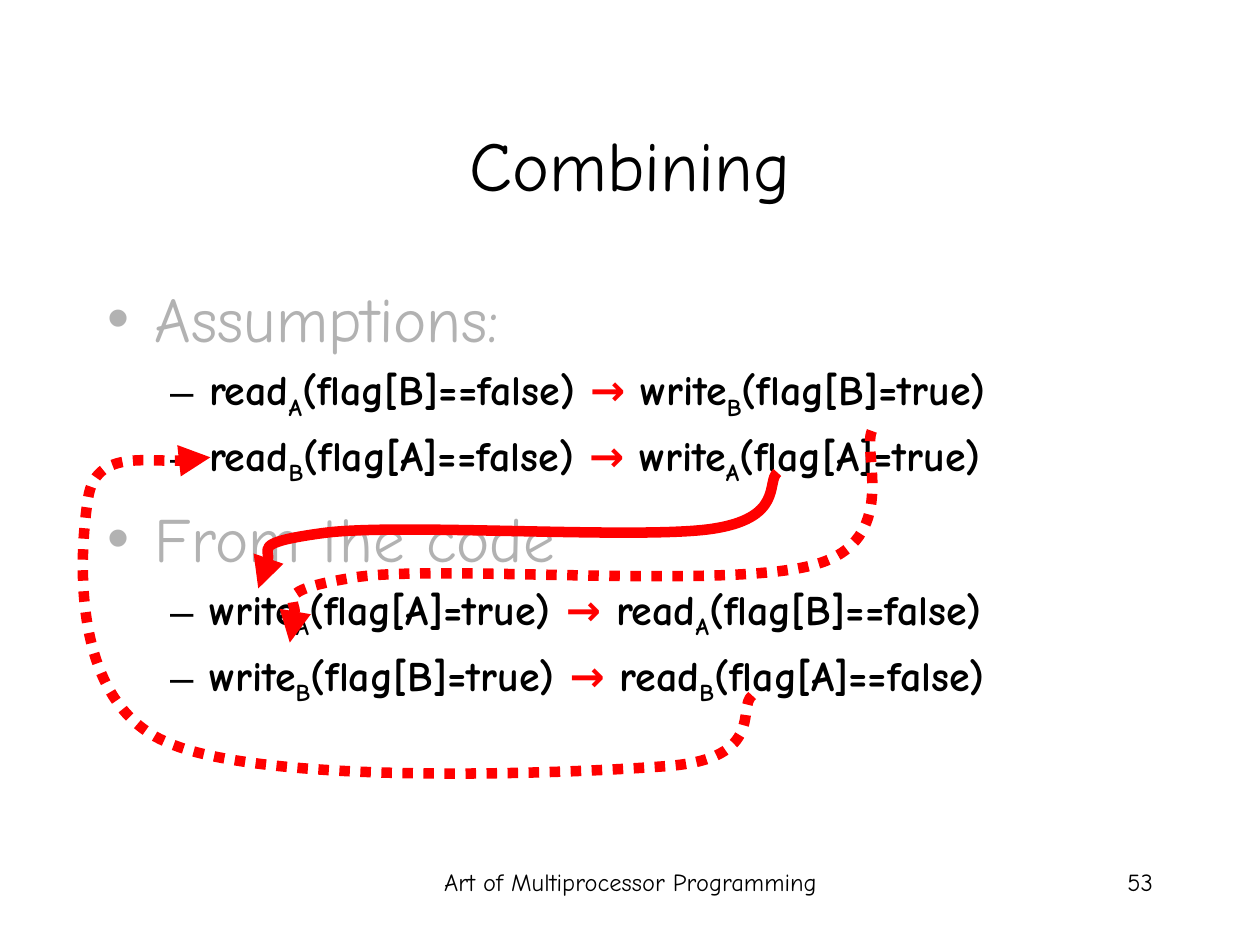
from lxml import etree
from pptx import Presentation
from pptx.dml.color import RGBColor
from pptx.enum import dml, text
from pptx.oxml import ns
from pptx.util import Inches, Pt

FONT = "Comic Neue"
BLACK, GRAY, RED = "000000", "B2B2B2", "FF0000"
HEADING = {"size": Pt(36), "bold": False}
CODE = {"size": Pt(24), "bold": True}

# Each event is (operation, thread, argument); each line orders two events
SECTIONS = [
    ("Assumptions:", [
        (("read", "A", "(flag[B]==false)"), ("write", "B", "(flag[B]=true)")),
        (("read", "B", "(flag[A]==false)"), ("write", "A", "(flag[A]=true)")),
    ]),
    ("From the code", [
        (("write", "A", "(flag[A]=true)"), ("read", "A", "(flag[B]==false)")),
        (("write", "B", "(flag[B]=true)"), ("read", "B", "(flag[A]==false)")),
    ]),
]

# Start point, then two control points and an end point for every curve
DOTTED_LOOP = [(5.97, 5.52),
               (5.85, 5.61), (6.08, 6.02), (5.3, 6.08),
               (4.52, 6.14), (2.06, 6.24), (1.3, 5.88),
               (0.53, 5.53), (0.64, 4.32), (0.7, 3.95),
               (0.76, 3.57), (1.47, 3.7), (1.67, 3.63)]
DOTTED_LINK = [(6.92, 3.42),
               (6.84, 3.59), (7.15, 4.29), (6.47, 4.48),
               (5.79, 4.68), (3.53, 4.48), (2.83, 4.58),
               (2.14, 4.69), (2.41, 4.99), (2.3, 5.1)]
SOLID_LINK = [(6.17, 3.75),
              (6.08, 3.82), (6.23, 4.12), (5.63, 4.2),
              (5.03, 4.28), (3.16, 4.15), (2.57, 4.23),
              (1.97, 4.31), (2.16, 4.58), (2.05, 4.67)]


def color(hex_string):
    return RGBColor.from_string(hex_string)


def add_child(parent, tag, **attributes):
    return etree.SubElement(parent, ns.qn(tag), attributes)


def place(shape, box):
    for name, value in zip(("left", "top", "width", "height"), box):
        setattr(shape, name, Inches(value))


def add_run(paragraph, words, font_format, hex_string=BLACK, subscript=False):
    run = paragraph.add_run()
    run.text = words
    for name, value in {"name": FONT, **font_format}.items():
        setattr(run.font, name, value)
    run.font.color.rgb = color(hex_string)
    if subscript:
        run._r.get_or_add_rPr().set("baseline", "-25000")


def add_title(slide, box):
    title = slide.shapes.title
    place(title, box)
    title.text_frame.vertical_anchor = text.MSO_ANCHOR.MIDDLE
    paragraph = title.text_frame.paragraphs[0]
    paragraph.alignment = text.PP_ALIGN.CENTER
    add_run(paragraph, "Combining", {"size": Pt(40)})


def add_bullet(frame, level, margin, hanging, bullet):
    first = not frame.paragraphs[0].runs
    paragraph = frame.paragraphs[0] if first else frame.add_paragraph()
    paragraph.level = level
    properties = paragraph._p.get_or_add_pPr()
    properties.set("marL", str(Inches(margin)))
    properties.set("indent", str(-Inches(hanging)))
    spacing = add_child(properties, "a:spcBef")
    add_child(spacing, "a:spcPct", val="0" if first else "20000")
    add_child(properties, "a:buChar", char=bullet)
    return paragraph


def add_event(paragraph, operation, thread, argument):
    add_run(paragraph, operation, CODE)
    add_run(paragraph, thread, CODE, subscript=True)
    add_run(paragraph, argument, CODE)


def add_body(slide, box):
    body = slide.placeholders[1]
    place(body, box)
    frame = body.text_frame
    frame.auto_size = text.MSO_AUTO_SIZE.NONE
    for heading, lines in SECTIONS:
        add_run(add_bullet(frame, 0, 0.38, 0.38, "•"), heading, HEADING, GRAY)
        for before, after in lines:
            paragraph = add_bullet(frame, 1, 0.81, 0.31, "–")
            add_event(paragraph, *before)
            add_run(paragraph, " → ", CODE, RED)
            add_event(paragraph, *after)


def add_footer(slide, box, words, alignment):
    footer = slide.shapes.add_textbox(*map(Inches, box))
    footer.text_frame.word_wrap = True
    paragraph = footer.text_frame.paragraphs[0]
    paragraph.alignment = alignment
    add_run(paragraph, words, {"size": Pt(14)})


def add_curved_arrow(slide, points, dash=None):
    start, *rest = [(Inches(x), Inches(y)) for x, y in points]
    builder = slide.shapes.build_freeform(*start)
    builder.add_line_segments(rest, close=False)
    arrow = builder.convert_to_shape()
    arrow.shadow.inherit = False
    arrow.fill.background()
    arrow.line.color.rgb = color(RED)
    arrow.line.width = Pt(6)
    if dash:
        arrow.line.dash_style = dash
    add_child(arrow.line._get_or_add_ln(), "a:tailEnd", type="triangle")

    # Turn every three straight segments into one Bezier curve
    segments = list(arrow._element.iter(ns.qn("a:lnTo")))
    outline = segments[0].getparent()
    for index in range(0, len(segments), 3):
        curve = add_child(outline, "a:cubicBezTo")
        for segment in segments[index:index + 3]:
            curve.append(segment[0])
            outline.remove(segment)


def main():
    presentation = Presentation()
    presentation.slide_width = Inches(10)
    presentation.slide_height = Inches(7.5)
    slide = presentation.slides.add_slide(presentation.slide_layouts[1])

    # Footer
    add_footer(slide, (3.42, 6.83, 3.17, 0.5),
               "Art of Multiprocessor Programming", text.PP_ALIGN.CENTER)
    add_footer(slide, (7.17, 6.83, 2.08, 0.5), "53", text.PP_ALIGN.RIGHT)

    # Title and list
    add_title(slide, (0.75, 0.67, 8.5, 1.25))
    add_body(slide, (0.75, 2.17, 8.5, 4.5))

    # Arrows linking the events
    add_curved_arrow(slide, DOTTED_LOOP, dml.MSO_LINE.ROUND_DOT)
    add_curved_arrow(slide, DOTTED_LINK, dml.MSO_LINE.ROUND_DOT)
    add_curved_arrow(slide, SOLID_LINK)

    presentation.save("out.pptx")


if __name__ == "__main__":
    main()
